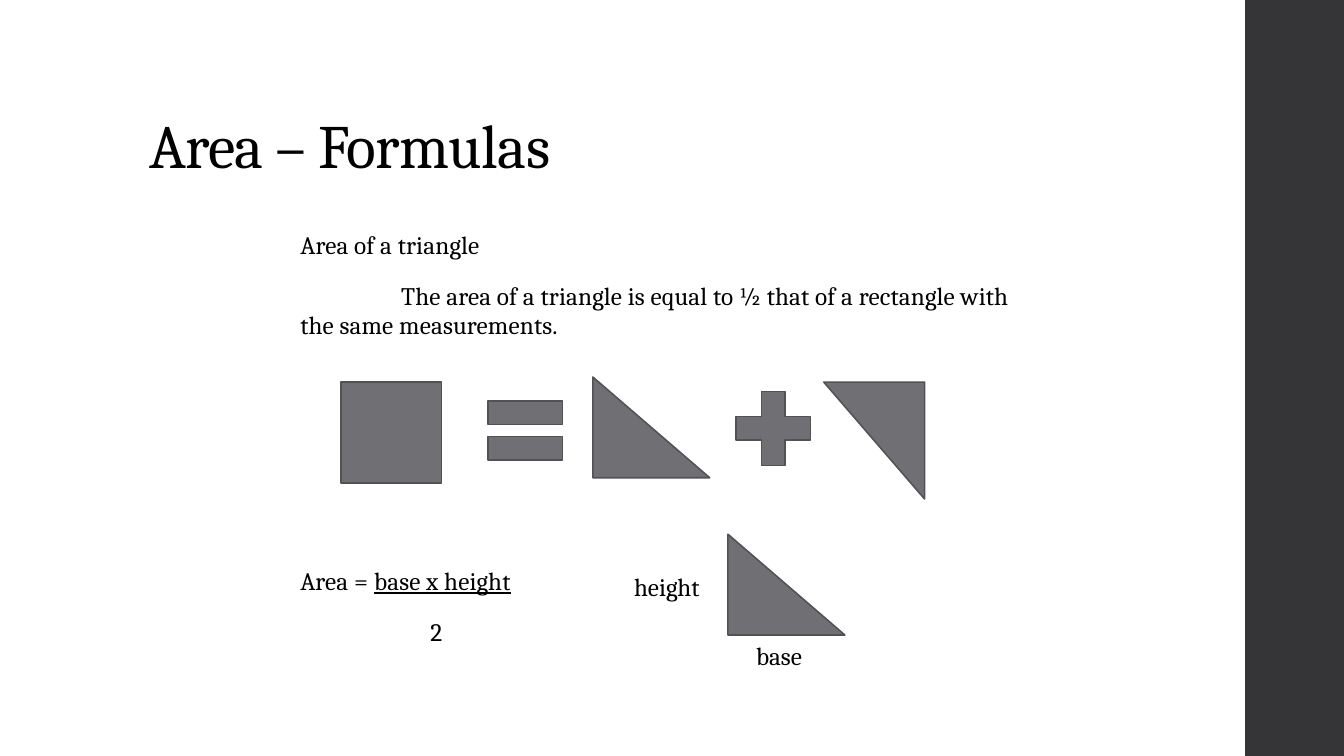
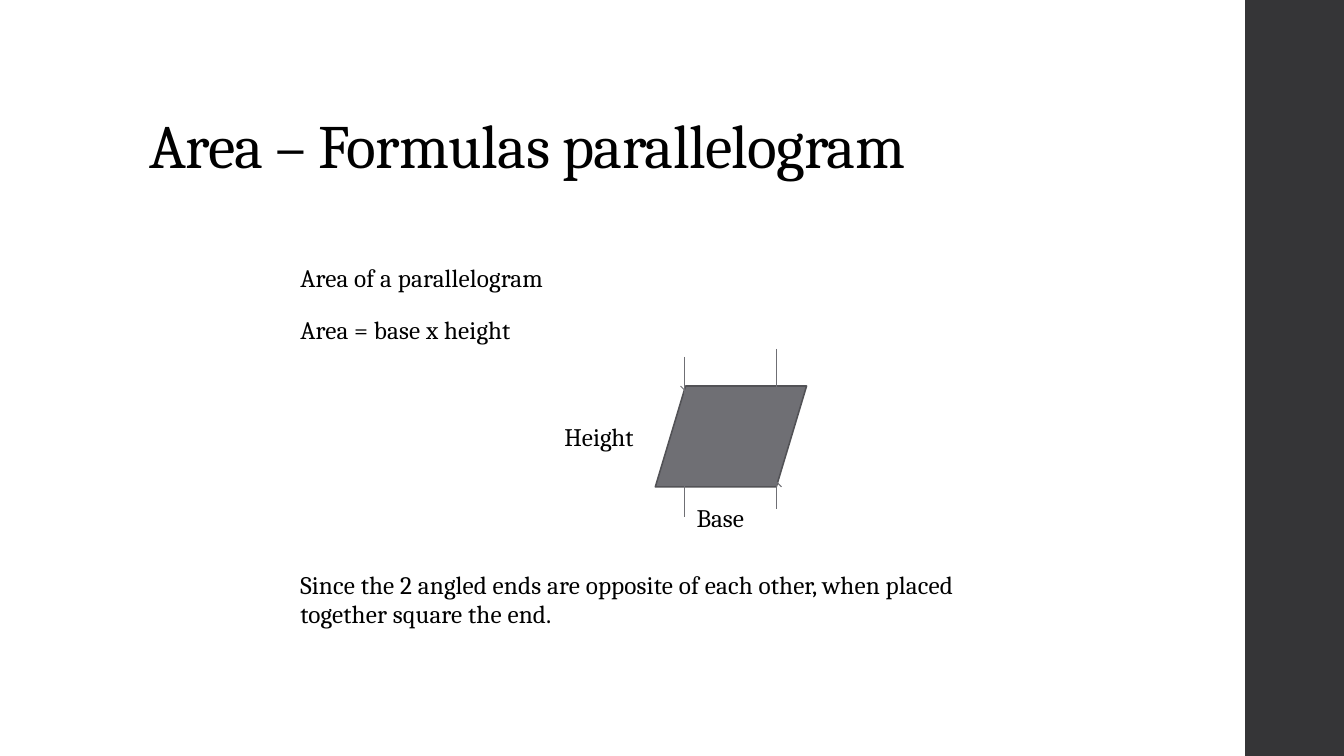
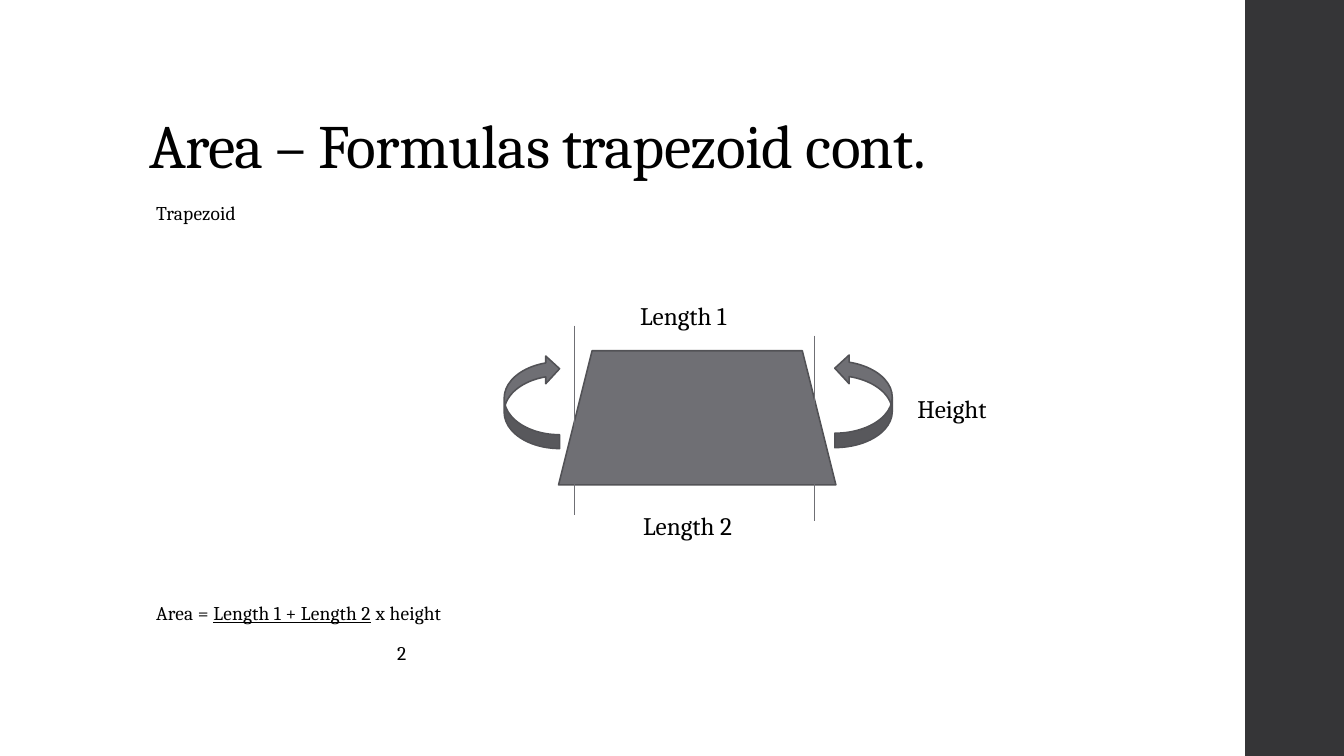
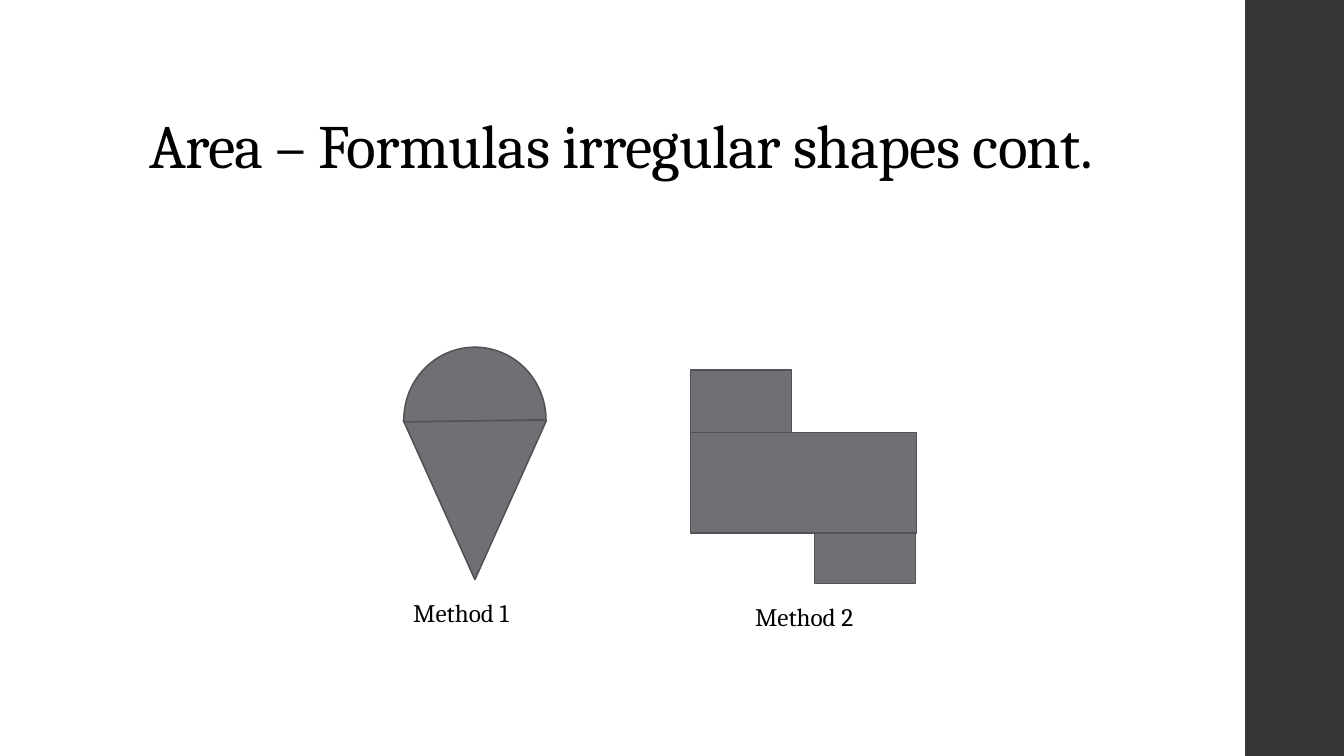
"""Builds four slides on the area formulas of plane figures."""
from pptx import Presentation
from pptx.dml.color import RGBColor
from pptx.enum.shapes import MSO_CONNECTOR, MSO_SHAPE
from pptx.enum.text import MSO_ANCHOR
from pptx.oxml.ns import qn
from pptx.util import Emu, Pt

PX = 9144
WIDE, HIGH = 1333, 750
FONT = "Cambria"
BLACK, WHITE, DARK = "000000", "FFFFFF", "353537"
GRAY, EDGE = "6F6F74", "525256"
LEFT = 138
INSET = 7

RECT = MSO_SHAPE.RECTANGLE
TRI = MSO_SHAPE.ISOSCELES_TRIANGLE
EQUAL = MSO_SHAPE.MATH_EQUAL
PLUS = MSO_SHAPE.MATH_PLUS
SLANT = MSO_SHAPE.FLOWCHART_DATA
TRAP = MSO_SHAPE.TRAPEZOID
CHORD = MSO_SHAPE.CHORD
UP = MSO_SHAPE.CURVED_UP_ARROW
BACK = MSO_SHAPE.CURVED_LEFT_ARROW
STRAIGHT = MSO_CONNECTOR.STRAIGHT
BOTTOM = MSO_ANCHOR.BOTTOM


def px(*sizes):
    """Turn px lengths into EMU."""
    return [Emu(size * PX) for size in sizes]


def rgb(code):
    """Turn a hex string into a colour."""
    return RGBColor.from_string(code)


def shape(slide, kind, box, fill=GRAY, edge=EDGE, turn=0, adj=()):
    """Add a filled preset shape."""
    item = slide.shapes.add_shape(kind, *px(*box))
    item.shadow.inherit = False
    item.rotation = turn
    for i, value in enumerate(adj):
        item.adjustments[i] = value
    item.fill.solid()
    item.fill.fore_color.rgb = rgb(fill)
    if edge:
        item.line.color.rgb = rgb(edge)
        item.line.width = Pt(1.1)
    else:
        item.line.fill.background()


def line(slide, *ends):
    """Add a thin straight line from x, y to x, y."""
    item = slide.shapes.add_connector(STRAIGHT, *px(*ends))
    item.line.color.rgb = rgb(GRAY)
    item.line.width = Pt(0.75)
    item._element.spPr.append(item._element.spPr.makeelement(qn("a:effectLst"), {}))


def style(par, size, track=0):
    """Set the font and letter spacing of a paragraph."""
    par.font.name = FONT
    par.font.size = Pt(size)
    par.font.color.rgb = rgb(BLACK)
    if track:
        par._p.get_or_add_pPr().get_or_add_defRPr().set("spc", str(track))


def frame(slide, box):
    """Add a wrapping text box and return its frame."""
    text = slide.shapes.add_textbox(*px(*box)).text_frame
    text.word_wrap = True
    return text


def label(slide, words, left, top, width):
    """Add a one-line label beside a figure."""
    par = frame(slide, (left, top, width, 40)).paragraphs[0]
    par.text = words
    style(par, 18)


def body(slide, box, pars, size=18, space=0.95):
    """Add paragraphs given as (left, first-line indent, runs); odd runs are underlined."""
    text = frame(slide, box)
    for i, (left, first, runs) in enumerate(pars):
        par = text.add_paragraph() if i else text.paragraphs[0]
        for j, words in enumerate(runs):
            run = par.add_run()
            run.text = words
            if j % 2:
                run.font.underline = True
        par.line_spacing = space
        par.space_before, par.space_after = Pt(14), Pt(2)
        style(par, size, 10)
        props = par._p.get_or_add_pPr()
        props.set("marL", str((INSET + left) * PX))
        props.set("indent", str(first * PX))


def page(deck, words):
    """Add a slide with the side band and its title."""
    slide = deck.slides.add_slide(deck.slide_layouts[6])
    slide.background.fill.solid()
    slide.background.fill.fore_color.rgb = rgb(WHITE)
    shape(slide, RECT, (1235, 0, WIDE - 1235, HIGH), DARK, None)
    text = frame(slide, (LEFT, 40, 1060, 145))
    text.vertical_anchor = BOTTOM
    par = text.paragraphs[0]
    par.text = words
    par.line_spacing = 0.9
    style(par, 44, -50)
    return slide


def triangle(deck):
    """Build the triangle slide."""
    slide = page(deck, "Area – Formulas")
    body(slide, (281, 225, 741, 120), [
        (0, 0, ["Area of a triangle"]),
        (0, 100, ["The area of a triangle is equal to ½ that of a rectangle "
                  "with the same measurements."])])
    body(slide, (281, 558, 330, 100), [
        (0, 0, ["Area = ", "base x height"]),
        (129, 0, ["2"])])
    shape(slide, RECT, (338, 379, 100, 100))
    shape(slide, EQUAL, (471, 377, 100, 100))
    shape(slide, TRI, (588, 374, 116, 100), adj=[0])
    shape(slide, PLUS, (717, 375, 100, 100))
    shape(slide, TRI, (809, 387, 116, 100), turn=270, adj=[1])
    shape(slide, TRI, (722, 530, 116, 100), adj=[0])
    label(slide, "height", 619, 562, 98)
    label(slide, "base", 740, 630, 81)


def slanted(deck):
    """Build the parallelogram slide."""
    slide = page(deck, "Area – Formulas parallelogram")
    body(slide, (281, 258, 741, 95), [
        (0, 0, ["Area of a parallelogram"]),
        (0, 0, ["Area = base x height"])])
    body(slide, (281, 562, 741, 80), [
        (0, 0, ["Since the 2 angled ends are opposite of each other, "
                "when placed together square the end."])])
    shape(slide, SLANT, (650, 383, 150, 100))
    label(slide, "Base", 681, 493, 78)
    label(slide, "Height", 550, 413, 100)
    line(slide, 675, 383, 775, 483)
    for left, top in ((679, 354), (770, 346)):
        line(slide, left, top, left, top + 159)


def trapezoid(deck):
    """Build the trapezoid slide."""
    slide = page(deck, "Area – Formulas trapezoid cont.")
    body(slide, (LEFT, 200, 940, 40), [(0, 0, ["Trapezoid"])], 13.9, 0.75)
    body(slide, (LEFT, 597, 940, 79), [
        (0, 0, ["Area = ", "Length 1 + Length 2", " x height"]),
        (239, 0, ["2"])], 13.9, 0.75)
    shape(slide, TRAP, (554, 348, 275, 133))
    label(slide, "Length 1", 625, 293, 126)
    label(slide, "Length 2", 628, 501, 126)
    label(slide, "Height", 900, 385, 100)
    line(slide, 808, 333, 808, 517)
    line(slide, 570, 323, 570, 511)
    shape(slide, UP, (810, 369, 93, 57), turn=270)
    shape(slide, BACK, (500, 352, 55, 93), turn=180)


def mixed(deck):
    """Build the irregular shapes slide."""
    slide = page(deck, "Area – Formulas irregular shapes cont.")
    shape(slide, TRI, (400, 417, 142, 158), turn=180)
    shape(slide, CHORD, (399, 346, 144, 141), turn=90, adj=[52.95, 162])
    for box in ((685, 367, 100, 62), (685, 429, 224, 100), (808, 529, 100, 50)):
        shape(slide, RECT, box)
    label(slide, "Method 1", 400, 588, 139)
    label(slide, "Method 2", 739, 592, 139)


def main():
    """Build and save the deck."""
    deck = Presentation()
    deck.slide_width, deck.slide_height = px(WIDE, HIGH)
    for build in (triangle, slanted, trapezoid, mixed):
        build(deck)
    deck.save("out.pptx")


if __name__ == "__main__":
    main()
